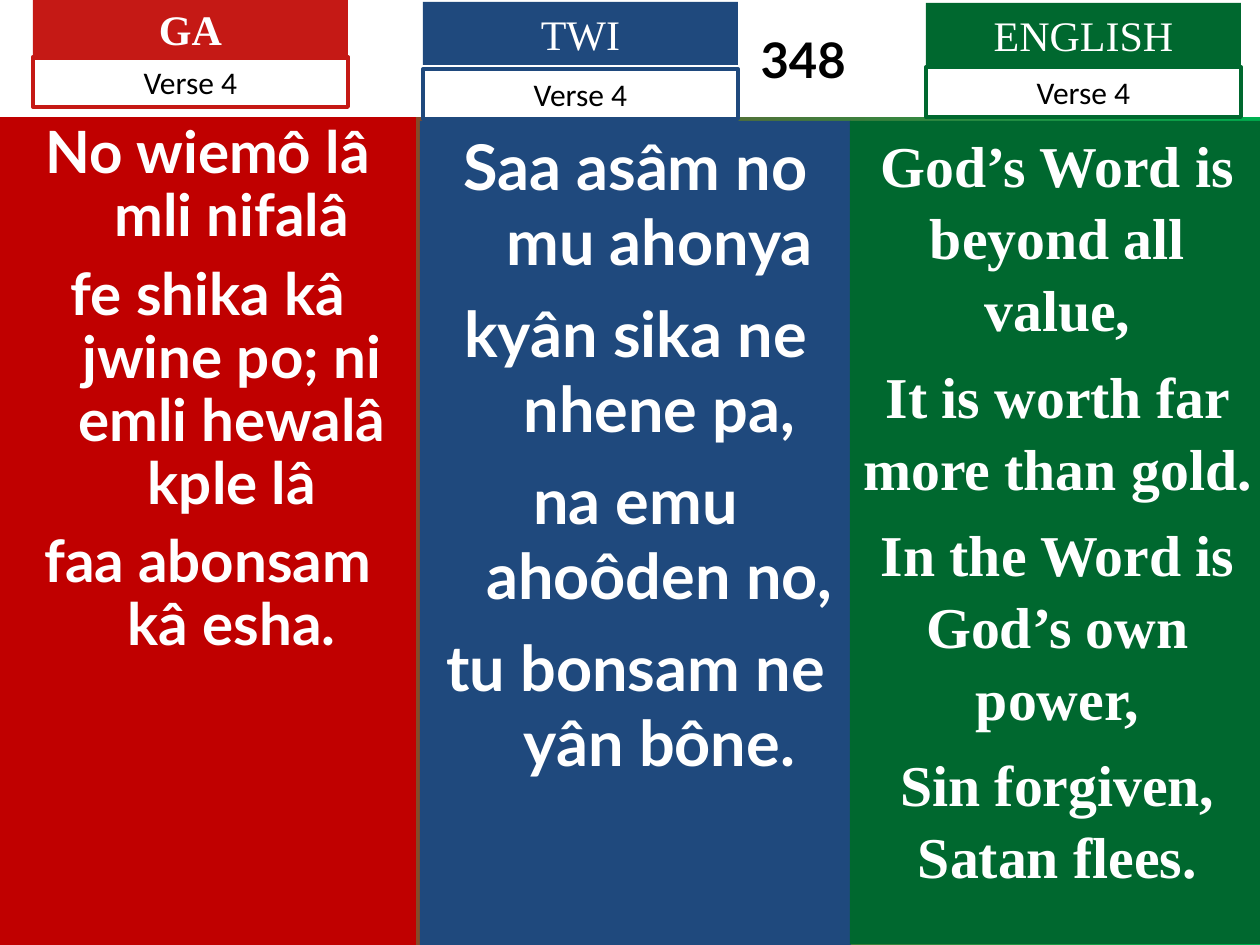
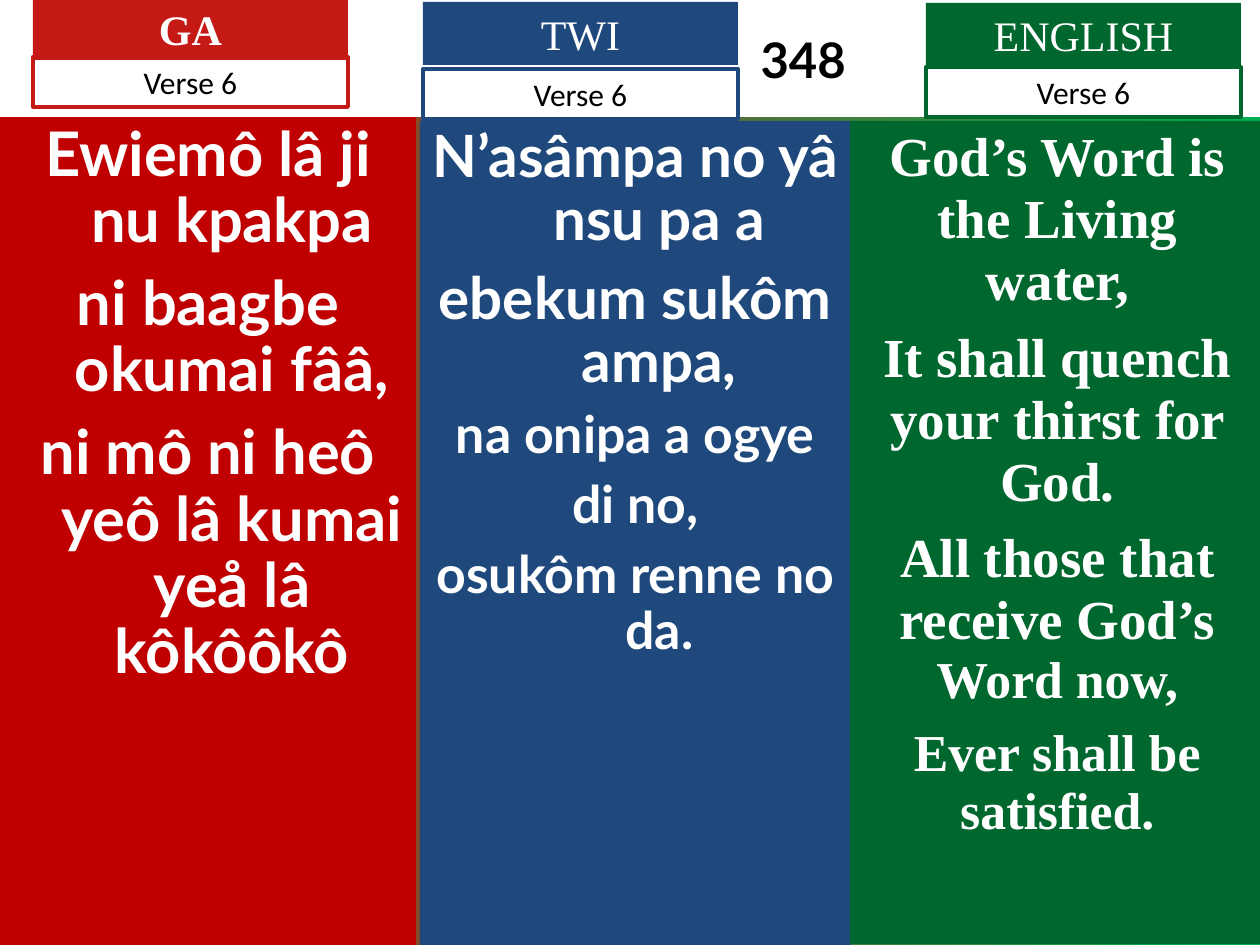
from dataclasses import dataclass
from pptx import Presentation
from pptx.dml.color import RGBColor
from pptx.enum.shapes import MSO_SHAPE
from pptx.enum.text import MSO_ANCHOR, MSO_AUTO_SIZE, PP_ALIGN
from pptx.util import Emu, Pt


@dataclass(frozen=True)
class Theme:
    red: str = "C51915"
    deep_red: str = "C00000"
    blue: str = "1F497D"
    green: str = "00682F"
    bright_green: str = "00B050"
    white: str = "FFFFFF"
    black: str = "000000"
    sans: str = "Lato"
    serif: str = "Times New Roman"
    label: str = "Calibri"
    number_size: float = 28
    heading_size: float = 24
    label_size: float = 18
    huge: float = 36
    large: float = 35.1
    medium: float = 33.3
    regular: float = 33
    compact: float = 31.4
    small: float = 29.6
    frame: float = 2.25


T = Theme()
HANG = 48


def px(n):
    return Emu(round(n * 914400 / 126))


def add_box(s, box, paragraphs, font, color, bold=False, fill=None, line=None, leading=1.0, hang=0):
    sp = s.shapes.add_shape(MSO_SHAPE.RECTANGLE, *map(px, box))
    sp.shadow.inherit = False
    if fill:
        sp.fill.solid()
        sp.fill.fore_color.rgb = RGBColor.from_string(fill)
    else:
        sp.fill.background()
    if line:
        sp.line.color.rgb = RGBColor.from_string(line)
        sp.line.width = Pt(T.frame)
    else:
        sp.line.fill.background()
    tf = sp.text_frame
    tf.word_wrap = True
    tf.vertical_anchor = MSO_ANCHOR.TOP
    for i, runs in enumerate(paragraphs):
        p = tf.add_paragraph() if i else tf.paragraphs[0]
        p.alignment = PP_ALIGN.CENTER
        p.line_spacing = leading
        if hang:
            pPr = p._p.get_or_add_pPr()
            pPr.set("marL", str(px(hang)))
            pPr.set("indent", str(px(-hang)))
        if i:
            p.space_before = Pt(round(runs[-1][1] * (0.27 if leading < 1 else 0.25), 1))
        for text, size in runs:
            r = p.add_run()
            r.text = text
            r.font.size = Pt(size)
            r.font.name = font
            r.font.bold = bold
            r.font.color.rgb = RGBColor.from_string(color)


COLUMNS = [
    dict(name="GA", bold=True, accent=T.red, fill=T.deep_red, font=T.sans, hang=HANG,
         body=(0, 117, 416, 828), head=(33, -3), label=(33, 57)),
    dict(name="TWI", bold=False, accent=T.blue, fill=T.blue, font=T.sans, hang=HANG,
         body=(420, 121, 431, 824), head=(423, 2), label=(423, 69)),
    dict(name="ENGLISH", bold=False, accent=T.green, fill=T.green, font=T.serif, hang=0,
         body=(850, 121, 415, 823), head=(926, 3), label=(926, 67)),
]

VERSES = {
    "Verse 4": [
        (0.9, [
            [("No wiemô lâ mli nifalâ", T.medium)],
            [("fe shika kâ jwine po; ni emli hewalâ kple lâ", T.medium)],
            [("faa abonsam kâ esha.", T.medium)],
        ]),
        (1.0, [
            [("Saa asâm no mu ahonya", T.huge)],
            [("kyân sika ne nhene pa,", T.huge)],
            [("na emu ahoôden no,", T.huge)],
            [("tu bonsam ne yân bône.", T.huge)],
        ]),
        (1.04, [
            [("God’s Word is beyond all value,", T.regular)],
            [("It is worth far more than gold.", T.regular)],
            [("In the Word is God’s own power,", T.regular)],
            [("Sin forgiven, Satan flees.", T.regular)],
        ]),
    ],
    "Verse 6": [
        (0.9, [
            [("Ewiemô lâ ji nu kpakpa", T.large)],
            [("ni baagbe okumai fââ,", T.large)],
            [("ni mô ni heô yeô lâ kumai yeå lâ kôkôôkô", T.large)],
        ]),
        (0.9, [
            [("N’asâmpa no yâ nsu pa a", T.medium)],
            [("ebekum sukôm ampa,", T.medium)],
            [("na onipa a ogye", T.small)],
            [("di no,", T.small)],
            [("osukôm renne no da.", T.small)],
        ]),
        (0.94, [
            [("God’s Word is the Living water,", T.compact)],
            [("It shall quench your thirst for God.", T.compact)],
            [("All those that receive God’s ", T.compact), ("Word now,", T.small)],
            [("Ever shall be satisfied.", T.small)],
        ]),
    ],
}

prs = Presentation()
prs.slide_width, prs.slide_height = px(1260), px(945)

for verse, stanzas in VERSES.items():
    s = prs.slides.add_slide(prs.slide_layouts[5])
    bg = s.background.fill
    bg.gradient()
    bg.gradient_angle = 0
    for stop, color in zip(bg.gradient_stops, (T.red, T.bright_green)):
        stop.color.rgb = RGBColor.from_string(color)

    title = s.shapes.title
    title.left, title.top, title.width, title.height = map(px, (0, 0, 1260, 117))
    title.fill.solid()
    title.fill.fore_color.rgb = RGBColor.from_string(T.white)
    tf = title.text_frame
    tf.text = "348"
    tf.auto_size = MSO_AUTO_SIZE.NONE
    tf.vertical_anchor = MSO_ANCHOR.MIDDLE
    tf.margin_left = px(359)
    p = tf.paragraphs[0]
    p.alignment = PP_ALIGN.CENTER
    r = p.runs[0]
    r.font.name = T.sans
    r.font.size = Pt(T.number_size)
    r.font.bold = True
    r.font.color.rgb = RGBColor.from_string(T.black)

    for col, (leading, paragraphs) in zip(COLUMNS, stanzas):
        add_box(s, col["body"], paragraphs, col["font"], T.white, bold=True,
                fill=col["fill"], leading=leading, hang=col["hang"])
        add_box(s, (*col["head"], 315, 63), [[(col["name"], T.heading_size)]],
                T.serif, T.white, bold=col["bold"], fill=col["accent"])
        add_box(s, (*col["label"], 315, 50), [[(verse, T.label_size)]],
                T.label, T.black, line=col["accent"])

prs.save("out.pptx")
